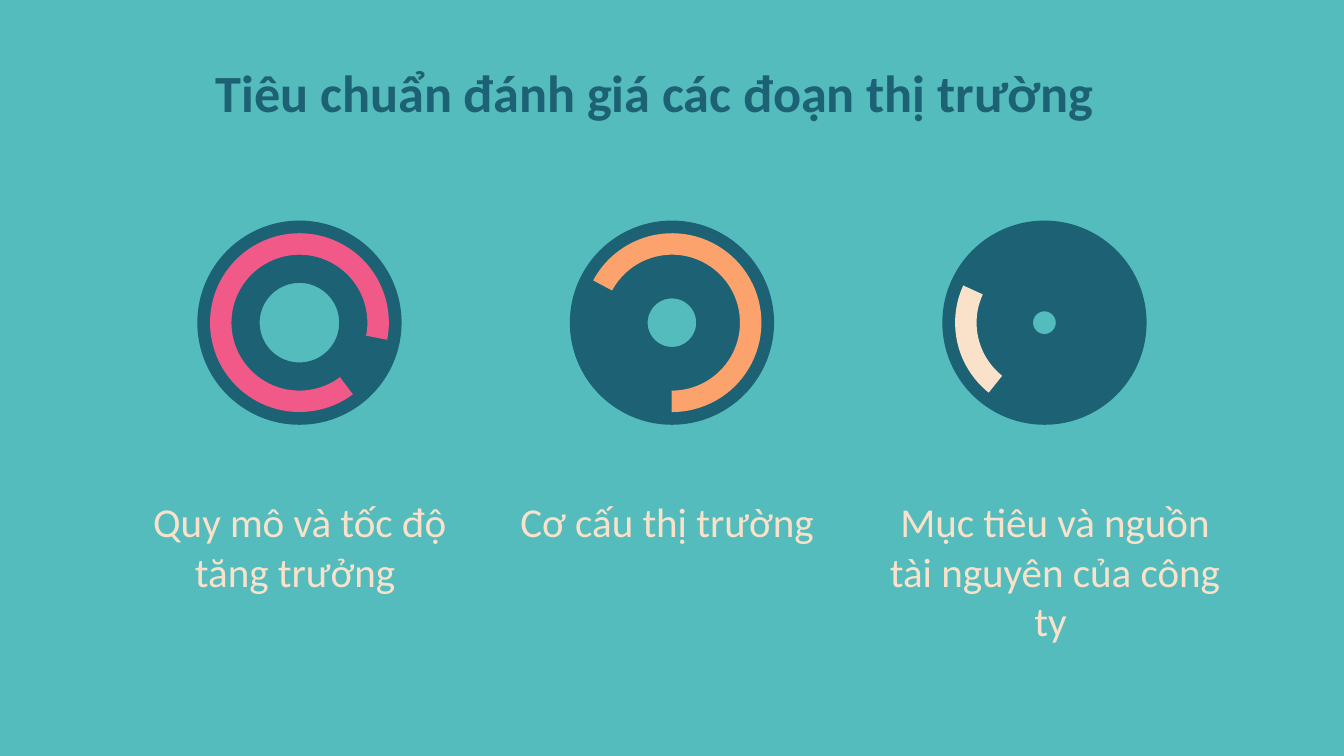
"""Build the slide on criteria for judging market segments."""
from pptx import Presentation
from pptx.dml.color import RGBColor
from pptx.enum.shapes import MSO_SHAPE as Shape
from pptx.enum.text import MSO_ANCHOR as Anchor, MSO_AUTO_SIZE as AutoSize, PP_ALIGN as Align
from pptx.oxml.xmlchemy import OxmlElement
from pptx.util import Cm, Pt

TEAL = RGBColor(0x55, 0xBC, 0xBD)
DARK = RGBColor(0x1C, 0x62, 0x74)
PINK = RGBColor(0xF0, 0x59, 0x88)
ORANGE = RGBColor(0xFB, 0xA2, 0x6D)
CREAM = RGBColor(0xFA, 0xE2, 0xCA)

DIAL_LEFT, DIAL_TOP, DIAL_STEP = 3.73, 4.17, 7.04
DIAL_SIZE, ARC_SIZE = 3.86, 3.38
ARC_END, ARC_WIDTH = 6.63, 0.12
CAPTION_TOP, CAPTION_HEIGHT = 9.14, 2.03

CRITERIA = [
    ("Quy mô và tốc độ tăng trưởng ", 2.49, 6.35, 0.305, 32, 0, PINK),
    ("Cơ cấu thị trường ", 9.52, 6.35, 0.381, 77.4, 79.2, ORANGE),
    ("Mục tiêu và nguồn tài nguyên của công ty ", 16.56, 6.76, 0.444, 177.02, 193.6, CREAM),
]


class SlideBuilder:
    """Hold the text style and the current slide."""

    font_name = "Calibri"

    def __init__(self, page):
        """Keep the page and paint its background."""
        self.page = page
        page.background.fill.solid()
        page.background.fill.fore_color.rgb = TEAL

    def text(self, box, words, left, top, width, height, size, color, bold=False):
        """Place and format one placeholder."""
        box.left, box.top, box.width, box.height = Cm(left), Cm(top), Cm(width), Cm(height)
        frame = box.text_frame
        frame.text = words
        frame.word_wrap = True
        frame.auto_size = AutoSize.NONE
        frame.vertical_anchor = Anchor.TOP
        frame.margin_left = frame.margin_right = Cm(0.25)
        frame.margin_top = frame.margin_bottom = Cm(0.25)
        para = frame.paragraphs[0]
        properties = para._p.get_or_add_pPr()
        properties.set("marL", "0")
        properties.set("indent", "0")
        properties.append(OxmlElement("a:buNone"))
        para.alignment = Align.CENTER
        para.space_before = Pt(0)
        para.font.name = self.font_name
        para.font.size = Pt(size)
        para.font.bold = bold
        para.font.color.rgb = color

    def ring(self, group, kind, left, top, size, color, adjustments, rotation=0):
        """Add one flat ring or arc to a dial."""
        shape = group.shapes.add_shape(kind, Cm(left), Cm(top), Cm(size), Cm(size))
        for index, value in enumerate(adjustments):
            shape.adjustments[index] = value
        shape.rotation = rotation
        shape.shadow.inherit = False
        shape.fill.solid()
        shape.fill.fore_color.rgb = color
        shape.line.fill.background()

    def dial(self, left, hole, arc_start, rotation, color):
        """Group a dark ring with the coloured arc centred on it."""
        group = self.page.shapes.add_group_shape()
        inset = (DIAL_SIZE - ARC_SIZE) / 2
        self.ring(group, Shape.DONUT, left, DIAL_TOP, DIAL_SIZE, DARK, [hole])
        self.ring(group, Shape.BLOCK_ARC, left + inset, DIAL_TOP + inset, ARC_SIZE, color,
                  [arc_start, ARC_END, ARC_WIDTH], rotation)


def main():
    """Create and save the deck."""
    deck = Presentation()
    deck.slide_width, deck.slide_height = Cm(25.4), Cm(14.29)
    page = deck.slides.add_slide(deck.slide_layouts.get_by_name("Comparison"))
    builder = SlideBuilder(page)
    title, *captions, spare = page.placeholders
    spare.element.getparent().remove(spare.element)

    builder.text(title, "Tiêu chuẩn đánh giá các đoạn thị trường ",
                 3.3, 0.89, 18.36, 1.6, 28, DARK, bold=True)
    for index, (box, criterion) in enumerate(zip(captions, CRITERIA)):
        words, left, width, *dial_style = criterion
        builder.text(box, words, left, CAPTION_TOP, width, CAPTION_HEIGHT, 22, CREAM)
        builder.dial(DIAL_LEFT + index * DIAL_STEP, *dial_style)
    deck.save("out.pptx")


if __name__ == "__main__":
    main()
